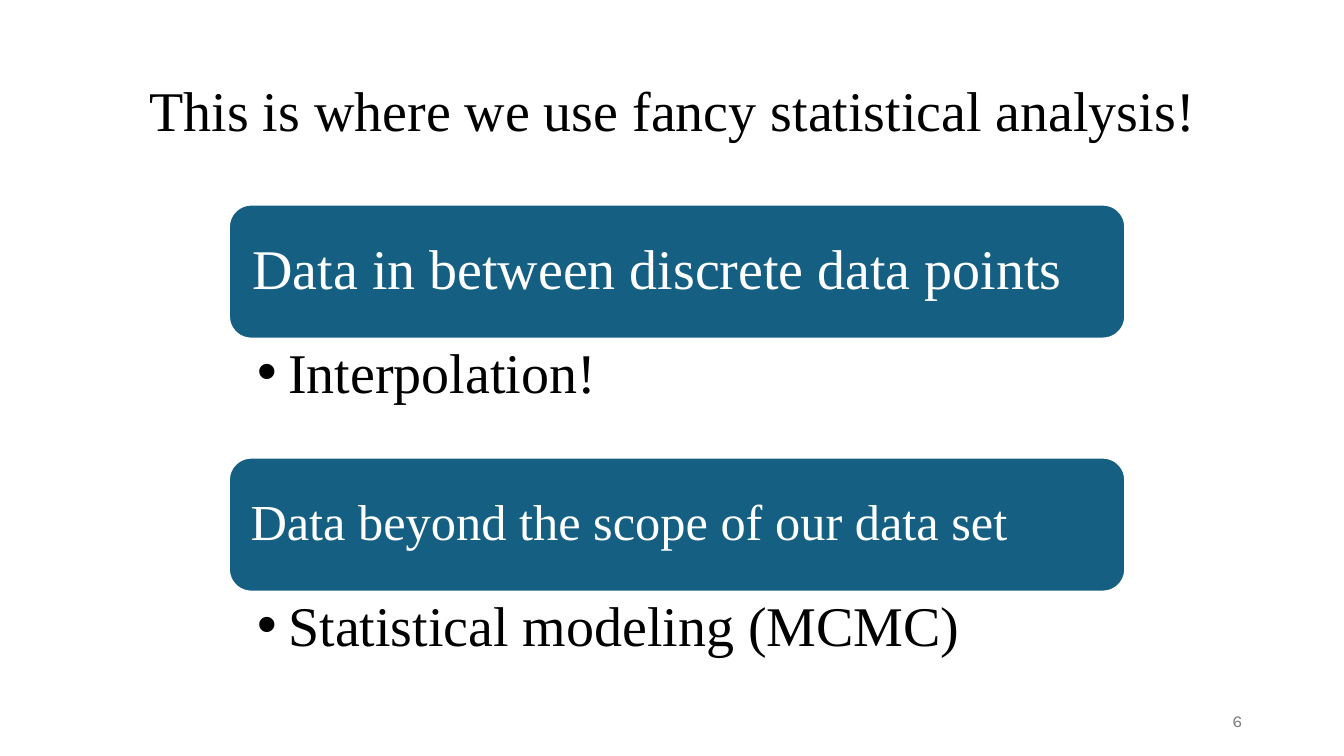
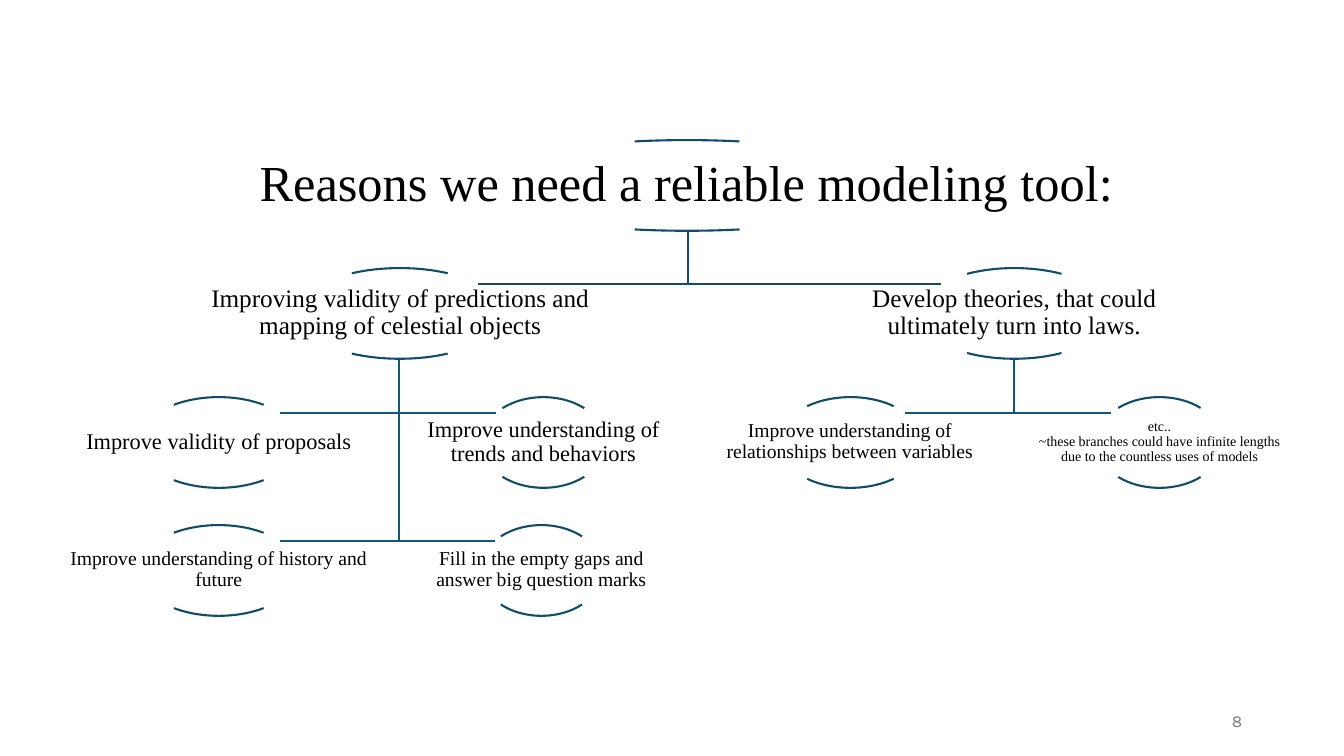
"""Builds two slides: the uses of statistical analysis, and a tree of reasons for modeling."""
from lxml import etree
from pptx import Presentation
from pptx import util as u
from pptx.dml.color import RGBColor
from pptx.enum import shapes, text
from pptx.oxml.ns import qn

PX = 9144
SERIF, SANS = "Times New Roman", "Karla"
COLORS = {"band": "156082", "arc": "114D68", "branch": "135776",
          "ink": "000000", "white": "FFFFFF", "number": "797979"}

TITLE = "This is where we use fancy statistical analysis!"
BANDS = [
    ("Data in between discrete data points", 40, 17, "Interpolation!"),
    ("Data beyond the scope of our data set", 36, 15, "Statistical modeling (MCMC)"),
]
BAND_LEFT, BAND_TOP, BAND_W, BAND_H, LIST_H = 227, 203, 889, 133, 118

# name: (parent, row, arc left, arc width, text size, text)
NODES = {
    "root": (None, 0, 468, 427, 36, "Reasons we need a reliable modeling tool:"),
    "validity": ("root", 1, 294, 205, 18,
                 "Improving validity of predictions and mapping of celestial objects"),
    "proposals": ("validity", 2, 137, 160, 16, "Improve validity of proposals"),
    "trends": ("validity", 2, 477, 124, 16, "Improve understanding of trends and behaviors"),
    "history": ("validity", 3, 137, 160, 14, "Improve understanding of history and future"),
    "gaps": ("validity", 3, 476, 122, 14, "Fill in the empty gaps and answer big question marks"),
    "theories": ("root", 1, 910, 192, 18,
                 "Develop theories, that could ultimately turn into laws."),
    "variables": ("theories", 2, 772, 143, 14,
                  "Improve understanding of relationships between variables"),
    "etc": ("theories", 2, 1087, 126, 10,
            "etc..\n~these branches could have infinite lengths due to the countless uses of models"),
}
ROW_TOP, ROW_STEP, ARC_H = 139, 127.4, 90
TEXT_DY, TEXT_H, REACH = 16, 57, 0.38
ARCS = [(132, 192), (24, 84)]


def rgb(name):
    return RGBColor.from_string(COLORS[name])


def px(*values):
    return [round(v) * PX for v in values]


def place(sp, *box):
    sp.left, sp.top, sp.width, sp.height = px(*box)


def write(sp, words, size, color="ink", align="CENTER", anchor="MIDDLE",
          insets=(10, 5, 10, 5), font=SERIF, spacing=0.9):
    tf = sp.text_frame
    tf.text = words
    tf.word_wrap = True
    tf.auto_size = text.MSO_AUTO_SIZE.NONE
    tf.vertical_anchor = text.MSO_ANCHOR[anchor]
    tf.margin_left, tf.margin_top, tf.margin_right, tf.margin_bottom = px(*insets)
    for p in tf.paragraphs:
        p.alignment = text.PP_ALIGN[align]
        p.line_spacing = spacing
        p.space_before = u.Pt(0)
        for r in p.runs:
            r.font.name, r.font.size = font, u.Pt(size)
            r.font.color.rgb = rgb(color)


def outline(sp, color):
    sp.shadow.inherit = False
    sp.line.color.rgb = rgb(color)
    sp.line.width = u.Pt(1.5)


def add_number(s, number):
    sp = s.shapes.add_textbox(*px(942, 695, 300, 40))
    write(sp, number, 12, "number", "RIGHT", font=SANS, spacing=1.0)


def add_bullet(p, indent):
    pPr = p._p.get_or_add_pPr()
    pPr.set("marL", str(indent * PX))
    pPr.set("indent", str(-indent * PX))
    etree.SubElement(pPr, qn("a:buChar")).set("char", "•")


def add_analysis(prs):
    s = prs.slides.add_slide(prs.slide_layouts[3])
    title, *lists = s.placeholders
    place(title, 92, 40, 1150, 145)
    write(title, TITLE, 40)
    for i, ((heading, size, inset, item), body) in enumerate(zip(BANDS, lists)):
        top = BAND_TOP + i * (BAND_H + LIST_H)
        sp = s.shapes.add_shape(shapes.MSO_SHAPE.ROUNDED_RECTANGLE,
                                *px(BAND_LEFT, top, BAND_W, BAND_H))
        sp.fill.solid()
        sp.fill.fore_color.rgb = rgb("band")
        outline(sp, "white")
        write(sp, heading, size, "white", "LEFT", insets=(inset,) * 4)
        place(body, BAND_LEFT, top + BAND_H, BAND_W, LIST_H)
        write(body, item, 40, align="LEFT", anchor="TOP", insets=(28, 6, 31, 6))
        add_bullet(body.text_frame.paragraphs[0], 31)
    add_number(s, "6")


def node_top(row):
    return round(ROW_TOP + row * ROW_STEP)


def add_branch(s, parent, child):
    _, row, left, width, _, _ = NODES[parent]
    _, child_row, child_left, child_width, _, _ = NODES[child]
    x, y = left + width / 2, node_top(row) + ARC_H
    child_x = child_left + child_width / 2
    side = 1 if child_x < x else -1
    end_x = child_x + side * REACH * child_width
    end_y = node_top(child_row) + TEXT_DY
    builder = s.shapes.build_freeform(*px(x, y))
    builder.add_line_segments([px(x, end_y), px(end_x, end_y)], close=False)
    sp = builder.convert_to_shape()
    sp.fill.background()
    outline(sp, "arc" if parent == "root" else "branch")


def add_node(s, name):
    parent, row, left, width, size, words = NODES[name]
    top = node_top(row)
    for angles in ARCS:
        sp = s.shapes.add_shape(shapes.MSO_SHAPE.ARC, *px(left, top, width, ARC_H))
        sp.adjustments[0], sp.adjustments[1] = angles
        sp.fill.background()
        outline(sp, "arc")
    box = (left - width / 2, top + TEXT_DY, 2 * width, TEXT_H)
    if parent is None:
        sp = s.shapes.title
        place(sp, *box)
    else:
        sp = s.shapes.add_textbox(*px(*box))
    write(sp, words, size, insets=(1 if parent else 3,) * 4)


def add_reasons(prs):
    s = prs.slides.add_slide(prs.slide_layouts[5])
    for name, (parent, *_) in NODES.items():
        if parent:
            add_branch(s, parent, name)
    for name in NODES:
        add_node(s, name)
    add_number(s, "8")


def main():
    prs = Presentation()
    prs.slide_width, prs.slide_height = px(1333, 750)
    add_analysis(prs)
    add_reasons(prs)
    prs.save("out.pptx")


if __name__ == "__main__":
    main()
